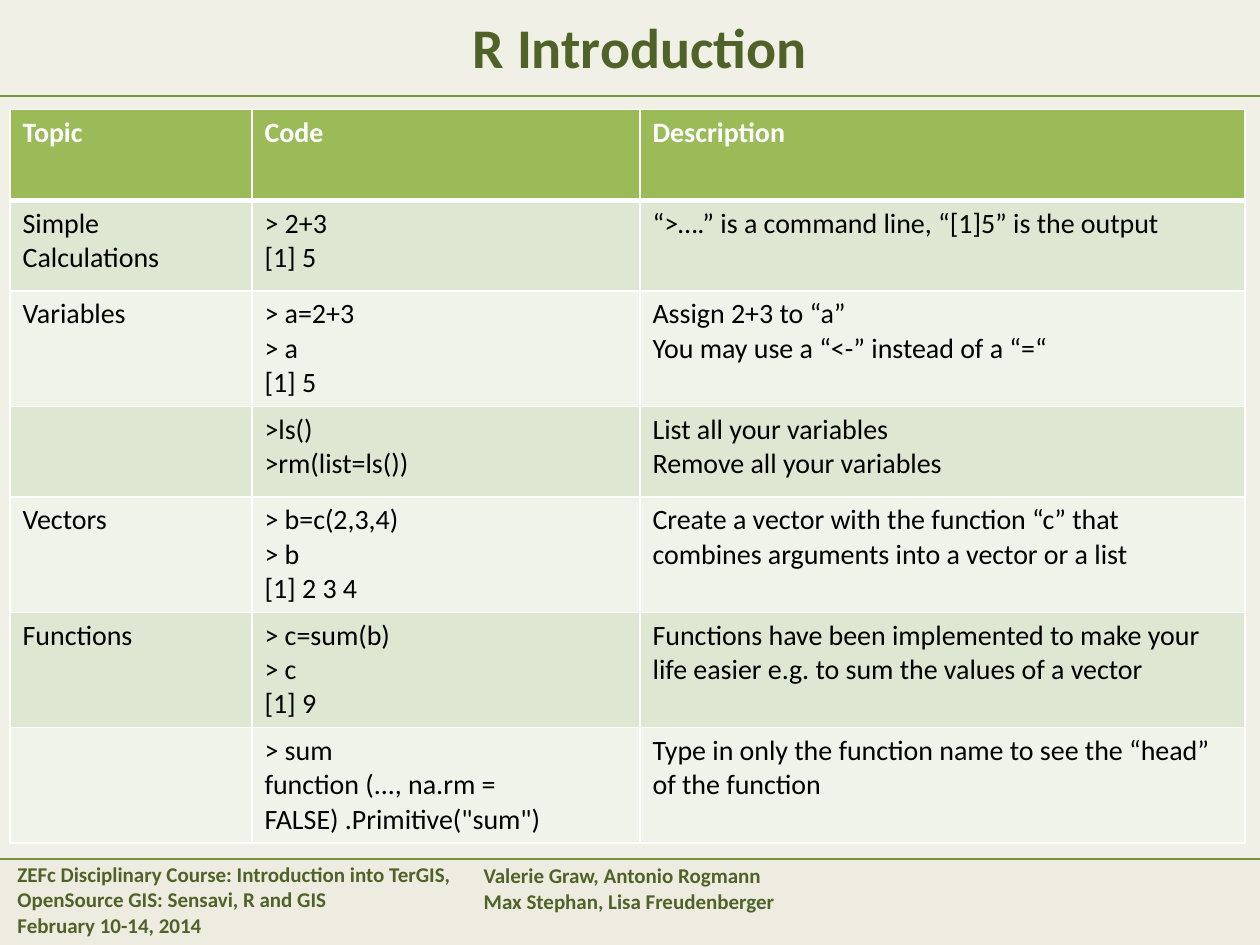
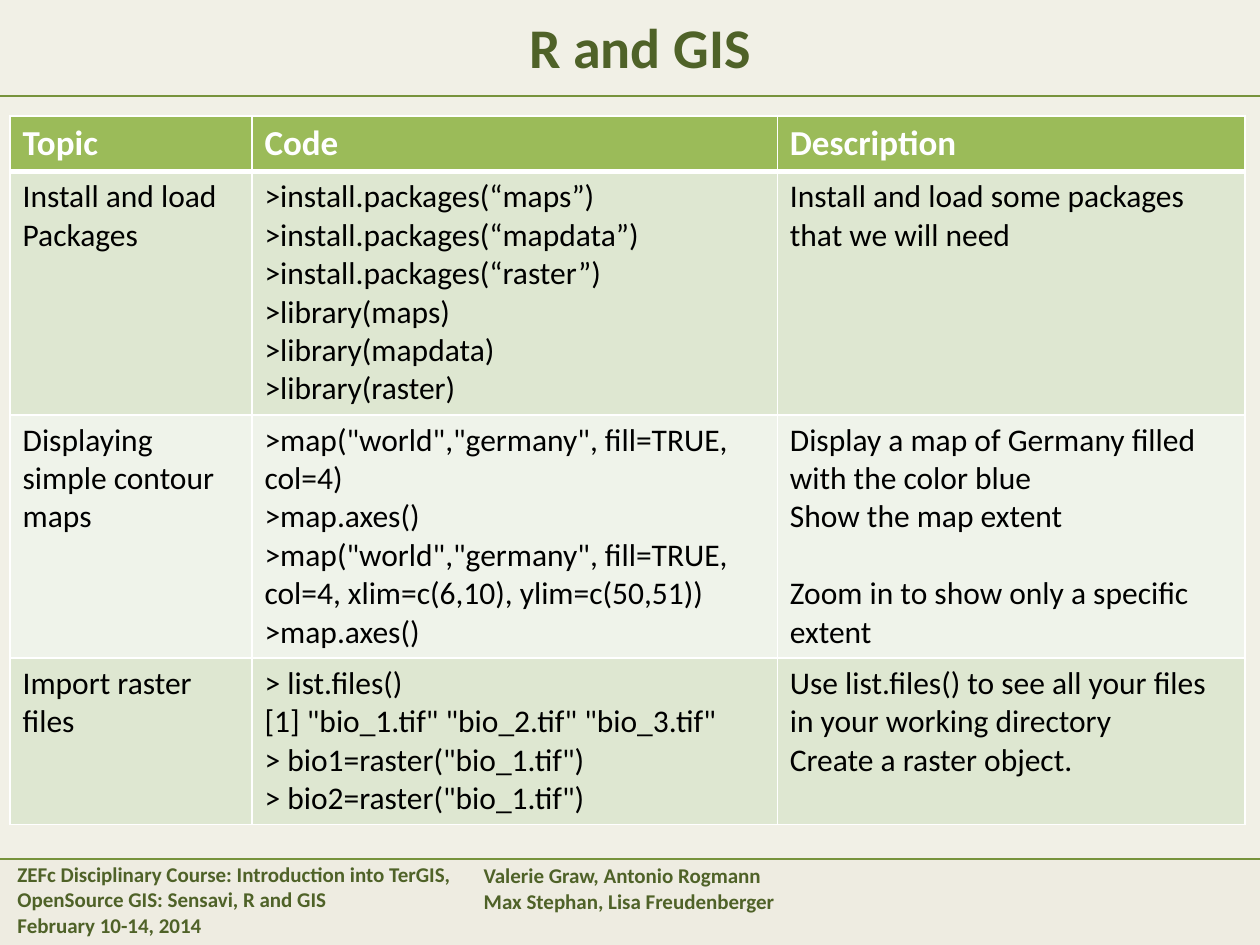
from lxml.etree import SubElement
from pptx import Presentation
from pptx.dml.color import RGBColor
from pptx.enum.shapes import MSO_CONNECTOR, MSO_SHAPE
from pptx.enum.text import MSO_ANCHOR, MSO_AUTO_SIZE, PP_ALIGN
from pptx.oxml.ns import qn
from pptx.util import Inches, Pt

FONT = "Calibri"
PAPER, PANEL, RULE, DARK = "EEECE1", "F3F2E9", "77933C", "4F6228"
HEADER, BANDS = "9BBB59", ("DEE7D1", "EFF3EA")
WHITE, BLACK = "FFFFFF", "000000"
PANEL_BOTTOM = 6.82
TITLE_BOX = (1.46, 0.05, 7.24, 0.71)
FOOTERS = [
    ((0.04, 6.79, 3.78, 0.71),
     ["ZEFc Disciplinary Course: Introduction into TerGIS, "
      "OpenSource GIS: Sensavi, R and GIS", "February 10-14, 2014"]),
    ((3.74, 6.8, 2.71, 0.5),
     ["Valerie Graw, Antonio Rogmann", "Max Stephan, Lisa Freudenberger"]),
]
HEADINGS = ["Topic", "Code", "Description"]

# Each row: topic, code lines, description lines
INTRO_ROWS = [
    ("Simple Calculations", "> 2+3\n[1] 5",
     "“>….” is a command line, “[1]5” is the output"),
    ("Variables", "> a=2+3\n> a\n[1] 5",
     "Assign 2+3 to “a”\nYou may use a “<-” instead of a “=“"),
    ("", ">ls()\n>rm(list=ls())",
     "List all your variables\nRemove all your variables"),
    ("Vectors", "> b=c(2,3,4)\n> b\n[1] 2 3 4",
     "Create a vector with the function “c” that "
     "combines arguments into a vector or a list"),
    ("Functions", "> c=sum(b)\n> c\n[1] 9",
     "Functions have been implemented to make your life easier "
     "e.g. to sum the values of a vector"),
    ("", '> sum\nfunction (..., na.rm = FALSE) .Primitive("sum")',
     "Type in only the function name to see the “head” of the function"),
]
GIS_ROWS = [
    ("Install and load Packages",
     ">install.packages(“maps”)\n>install.packages(“mapdata”)\n"
     ">install.packages(“raster”)\n"
     ">library(maps)\n>library(mapdata)\n>library(raster)",
     "Install and load some packages that we will need"),
    ("Displaying simple contour maps",
     '>map("world","germany", fill=TRUE, col=4)\n>map.axes()\n'
     '>map("world","germany", fill=TRUE, col=4, xlim=c(6,10), ylim=c(50,51))\n'
     ">map.axes()",
     "Display a map of Germany filled with the color blue\n"
     "Show the map extent\nZoom in to show only a specific extent"),
    ("Import raster files",
     '> list.files()\n[1] "bio_1.tif" "bio_2.tif" "bio_3.tif"\n'
     '> bio1=raster("bio_1.tif")\n> bio2=raster("bio_1.tif")',
     "Use list.files() to see all your files in your working directory\n"
     "Create a raster object."),
]


def color(hex_code):
    return RGBColor.from_string(hex_code)


def set_text(tf, lines, size, hex_code, bold):
    tf.text = "\n".join(lines)
    for p in tf.paragraphs:
        p.font.name, p.font.size, p.font.bold = FONT, Pt(size), bold
        p.font.color.rgb = color(hex_code)


def add_rule(slide, y):
    line = slide.shapes.add_connector(
        MSO_CONNECTOR.STRAIGHT, 0, Inches(y), Inches(10), Inches(y))
    line.line.color.rgb = color(RULE)
    line.line.width = Pt(1)
    SubElement(line._element.spPr, qn("a:effectLst"))


def add_frame(slide):
    """Translucent panel, two rules and the footer texts."""
    sp = slide.shapes.add_shape(MSO_SHAPE.RECTANGLE, 0, Inches(-0.01),
                                Inches(10), Inches(PANEL_BOTTOM))
    sp.shadow.inherit = False
    sp.line.fill.background()
    sp.fill.solid()
    sp.fill.fore_color.rgb = color(PANEL)
    rgb = sp._element.spPr.find(qn("a:solidFill")).find(qn("a:srgbClr"))
    SubElement(rgb, qn("a:alpha"), val="75000")

    for y in (PANEL_BOTTOM, 0.76):
        add_rule(slide, y)
    for box, lines in FOOTERS:
        tf = slide.shapes.add_textbox(*map(Inches, box)).text_frame
        tf.word_wrap = True
        set_text(tf, lines, 12, DARK, True)


def set_title(slide, text):
    title = slide.shapes.title
    title.left, title.top, title.width, title.height = map(Inches, TITLE_BOX)
    tf = title.text_frame
    tf.vertical_anchor = MSO_ANCHOR.TOP
    tf.auto_size = MSO_AUTO_SIZE.NONE
    set_text(tf, [text], 32, DARK, True)
    tf.paragraphs[0].alignment = PP_ALIGN.CENTER
    # Bring the title in front of the panel
    slide.shapes._spTree.append(title._element)


def set_borders(cell, top, bottom):
    tc_pr = cell._tc.get_or_add_tcPr()
    for side, width in (("L", 1), ("R", 1), ("T", top), ("B", bottom)):
        ln = SubElement(tc_pr, qn(f"a:ln{side}"), w=str(Pt(width)))
        fill = SubElement(ln, qn("a:solidFill"))
        SubElement(fill, qn("a:srgbClr"), val=WHITE)


def add_code_table(slide, left, top, widths, heights, rows, head_size, body_size):
    rows = [HEADINGS, *rows]
    table = slide.shapes.add_table(
        len(rows), len(widths), Inches(left), Inches(top),
        Inches(sum(widths)), Inches(sum(heights))).table
    for col, width in zip(table.columns, widths):
        col.width = Inches(width)
    for i, (row, height, texts) in enumerate(zip(table.rows, heights, rows)):
        row.height = Inches(height)
        head = i == 0
        for cell, text in zip(row.cells, texts):
            set_text(cell.text_frame, text.split("\n"),
                     head_size if head else body_size,
                     WHITE if head else BLACK, head)
            # A thick rule divides the header from the body
            set_borders(cell, 3 if i == 1 else 1, 3 if head else 1)
            cell.fill.solid()
            cell.fill.fore_color.rgb = color(HEADER if head else BANDS[(i - 1) % 2])
    return table


def add_topic_slide(prs, title, *table_args):
    slide = prs.slides.add_slide(prs.slide_layouts[5])
    add_frame(slide)
    set_title(slide, title)
    return add_code_table(slide, *table_args)


def main():
    prs = Presentation()
    prs.slide_width, prs.slide_height = Inches(10), Inches(7.5)
    bg = prs.slide_master.background.fill
    bg.solid()
    bg.fore_color.rgb = color(PAPER)

    add_topic_slide(prs, "R Introduction", 0.08, 0.87, (1.92, 3.08, 4.8),
                    (0.72, 0.72, 0.91, 0.72, 0.91, 0.91, 0.91),
                    INTRO_ROWS, 16, 16)
    table = add_topic_slide(prs, "R and GIS", 0.08, 0.92, (1.92, 4.17, 3.71),
                            (0.43, 1.93, 1.93, 1.32), GIS_ROWS, 20, 18)
    # Align the zoom note with the second map call
    table.cell(2, 2).text_frame.paragraphs[2].space_before = Pt(22)

    prs.save("out.pptx")


if __name__ == "__main__":
    main()
